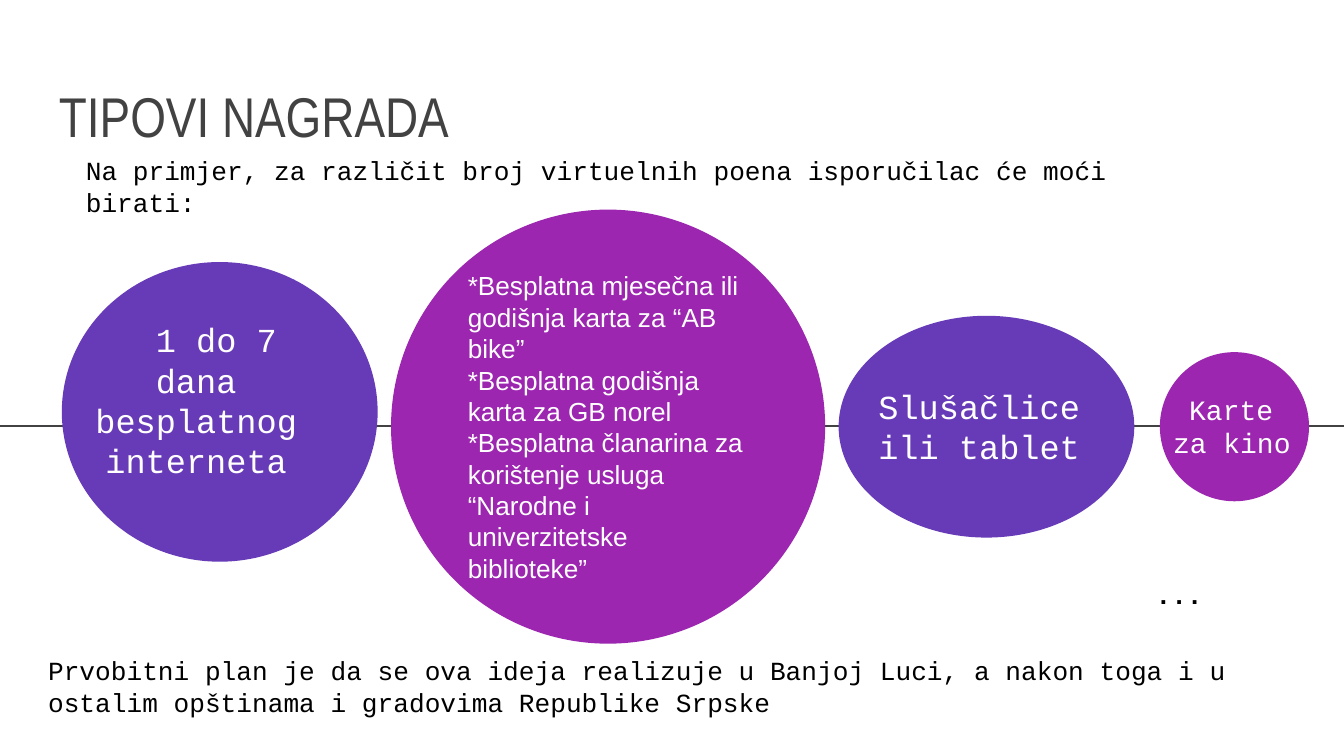
"""Build the slide on reward types."""
import pptx
import pptx.util
import pptx.dml.color
import pptx.enum.shapes
import pptx.enum.text
import pptx.oxml
from pptx.util import Inches

RGBColor = pptx.dml.color.RGBColor
ALIGN = pptx.enum.text.PP_ALIGN
ANCHOR = pptx.enum.text.MSO_ANCHOR
SHAPE = pptx.enum.shapes.MSO_SHAPE

WHITE = RGBColor(0xFF, 0xFF, 0xFF)
BLACK = RGBColor(0, 0, 0)
GREY = RGBColor(0x42, 0x42, 0x42)
VIOLET = RGBColor(0x67, 0x3A, 0xB7)
PURPLE = RGBColor(0x9C, 0x26, 0xB0)

WIDTH = Inches(10)
HEIGHT = WIDTH * 9 // 16
AXIS_Y = 3.17
REWARDS = [
    "*Besplatna mjesečna ili godišnja karta za “AB bike”",
    "*Besplatna godišnja karta za GB norel",
    "*Besplatna članarina za korištenje usluga “Narodne i univerzitetske biblioteke”",
]
CIRCLES = [
    ((0.46, 1.95, 2.35, 2.23), VIOLET),
    ((2.91, 1.56, 3.23, 3.23), PURPLE),
    ((6.24, 2.35, 2.2, 1.65), VIOLET),
    ((8.63, 2.62, 1.11, 1.11), PURPLE),
]
LABEL = dict(color=WHITE, anchor=ANCHOR.MIDDLE)
TEXTS = [
    ((0.34, 0.41, 9.32, 0.8), ["TIPOVI NAGRADA"],
     dict(size=30, font="Arial Narrow", color=GREY, anchor=ANCHOR.BOTTOM)),
    ((0.46, 2.35, 2, 1.25), ["1 do 7 dana besplatnog interneta"],
     dict(LABEL, size=18, align=ALIGN.CENTER, indent=0.3)),
    ((6.24, 2.84, 2.09, 0.66), ["Slušačlice ili tablet"],
     dict(LABEL, size=18, align=ALIGN.CENTER)),
    ((8.63, 2.84, 1.19, 0.66), ["Karte za kino"],
     dict(LABEL, size=15, indent=0.12)),
    ((0.54, 1.05, 8.28, 0.45),
     ["Na primjer, za različit broj virtuelnih poena isporučilac će moći birati:"], {}),
    ((8.5, 4.2, 1.43, 0.58), ["..."], dict(bold=True)),
    ((0.26, 4.77, 9.4, 0.58),
     ["Prvobitni plan je da se ova ideja realizuje u Banjoj Luci, a nakon toga i u "
      "ostalim opštinama i gradovima Republike Srpske"], {}),
]


def write(sp, lines, size=14, font="Courier New", color=BLACK, bold=False,
          align=ALIGN.LEFT, anchor=ANCHOR.TOP, indent=0):
    tf = sp.text_frame
    tf.word_wrap = True
    tf.vertical_anchor = anchor
    tf.margin_left = tf.margin_right = tf.margin_top = tf.margin_bottom = Inches(0.1)
    for i, line in enumerate(lines):
        p = tf.add_paragraph() if i else tf.paragraphs[0]
        p.alignment = align
        if indent:
            p._p.get_or_add_pPr().set("indent", str(Inches(indent)))
        r = p.add_run()
        r.text = line
        r.font.size = pptx.util.Pt(size)
        r.font.name = font
        r.font.bold = bold
        r.font.color.rgb = color


def add_axis(s):
    line = s.shapes.add_connector(
        pptx.enum.shapes.MSO_CONNECTOR.STRAIGHT,
        Inches(-0.01), Inches(AXIS_Y), WIDTH, Inches(AXIS_Y))
    line.line.color.rgb = GREY
    line.line.width = pptx.util.Pt(1.5)
    line._element.spPr.append(pptx.oxml.parse_xml(
        '<a:effectLst xmlns:a="http://schemas.openxmlformats.org/drawingml/2006/main"/>'))


def add_circle(s, box, color):
    sp = s.shapes.add_shape(SHAPE.OVAL, *map(Inches, box))
    sp.shadow.inherit = False
    sp.fill.solid()
    sp.fill.fore_color.rgb = color
    sp.line.fill.background()
    return sp


def main():
    prs = pptx.Presentation()
    prs.slide_width, prs.slide_height = WIDTH, HEIGHT
    s = prs.slides.add_slide(prs.slide_layouts[6])
    add_axis(s)
    circles = [add_circle(s, box, color) for box, color in CIRCLES]
    write(circles[1], REWARDS, font="Arial", **LABEL)
    for box, lines, fmt in TEXTS:
        write(s.shapes.add_textbox(*map(Inches, box)), lines, **fmt)
    prs.save("out.pptx")


if __name__ == "__main__":
    main()
